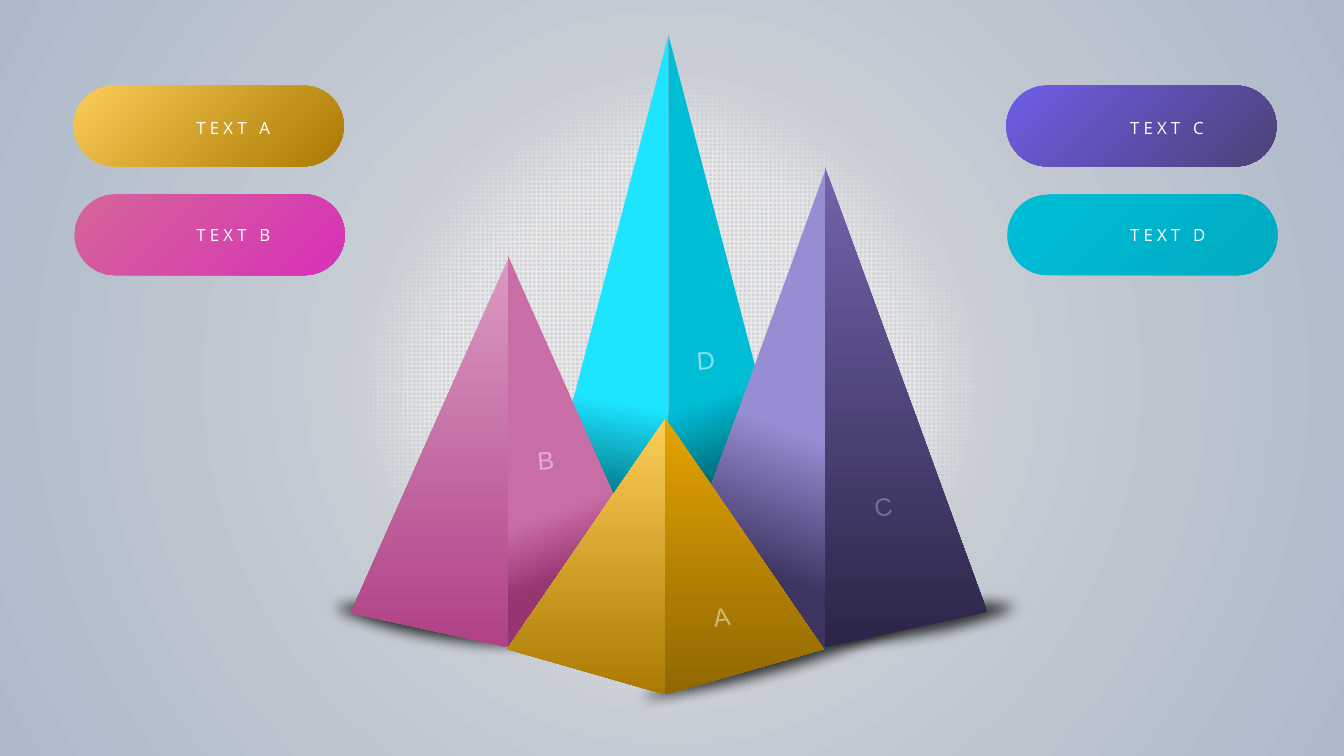
"""Build a slide of four lettered pyramids with gradient label pills."""
from lxml.etree import SubElement
from pptx import Presentation
from pptx.dml.color import RGBColor
from pptx.enum.dml import MSO_PATTERN
from pptx.enum.shapes import MSO_SHAPE
from pptx.enum.text import MSO_AUTO_SIZE
from pptx.oxml.ns import qn
from pptx.util import Pt

PX = 9144
COLORS = {
    "white": "FFFFFF", "black": "000000",
    "backdrop_center": "DBDBDB", "backdrop_edge": "ADB9CA",
    "grid": "EDEDED", "grid_ground": "D0D3D7",
    "cyan_light": "1DE4FF", "cyan_shade": "007A8A",
    "cyan": "00BDD6", "cyan_dark": "005C68", "cyan_end": "00ABC1",
    "violet_light": "978DD3", "violet_shade": "3E3462",
    "violet": "7363AD", "violet_dark": "2C2547",
    "violet_start": "6E5EE8", "violet_end": "4C4175",
    "pink_light": "DA9AC2", "pink_deep": "B04186",
    "pink": "C96DA6", "pink_dark": "953671",
    "pink_start": "D56598", "pink_end": "D731B7",
    "gold": "E4A302", "gold_dark": "906702",
    "gold_light": "FDCE59", "gold_deep": "AA7A02",
    "gold_start": "FBCC57", "gold_end": "A97902",
}


def paint_gradient(fill, owner, stops, angle=None):
    fill.gradient()
    gradient = next(owner.iter(qn("a:gradFill")))
    for child in list(gradient):
        gradient.remove(child)
    stop_list = SubElement(gradient, qn("a:gsLst"))
    for position, color in stops:
        stop = SubElement(stop_list, qn("a:gs"), pos=str(position * 1000))
        SubElement(stop, qn("a:srgbClr"), val=COLORS[color])
    if angle is None:
        circle = SubElement(gradient, qn("a:path"), {"path": "circle"})
        SubElement(circle, qn("a:fillToRect"), dict.fromkeys("ltrb", "50000"))
    else:
        SubElement(gradient, qn("a:lin"), ang=str(angle * 60000), scaled="0")


def add_ellipse(shapes, left, top, width, height, soft_edge):
    ellipse = shapes.add_shape(MSO_SHAPE.OVAL, left * PX, top * PX, width * PX, height * PX)
    ellipse.line.fill.background()
    effects = SubElement(ellipse.element.spPr, qn("a:effectLst"))
    SubElement(effects, qn("a:softEdge"), rad=str(soft_edge * PX))
    return ellipse


prs = Presentation()
prs.slide_width, prs.slide_height = 1333 * PX, 750 * PX
slide = prs.slides.add_slide(prs.slide_layouts[6])
paint_gradient(slide.background.fill, slide.element,
               [(0, "backdrop_center"), (100, "backdrop_edge")])

halo = add_ellipse(slide.shapes, 312, 35, 709, 709, 70)
halo.fill.patterned()
halo.fill.pattern = MSO_PATTERN.SMALL_GRID
halo.fill.fore_color.rgb = RGBColor.from_string(COLORS["grid"])
halo.fill.back_color.rgb = RGBColor.from_string(COLORS["grid_ground"])

pyramids = slide.shapes.add_group_shape().shapes
for left, top, width, rotation, opacity in [
    (596, 626, 346, 344.9, 78),
    (302, 591, 254, 8.9, 80),
    (784, 589, 254, 351.8, 78),
]:
    ground_shadow = add_ellipse(pyramids, left, top, width, 56, 14)
    ground_shadow.rotation = rotation
    ground_shadow.fill.solid()
    ground_shadow.fill.fore_color.rgb = RGBColor.from_string(COLORS["black"])
    black = next(ground_shadow.element.iter(qn("a:srgbClr")))
    SubElement(black, qn("a:alpha"), val=str(opacity * 1000))

for ridge, apex, base, corner, stops, angle in [
    (663, 35, 685, (504, 643), [(55, "cyan_light"), (69, "cyan_shade")], 100),
    (663, 35, 685, (822, 643), [(53, "cyan"), (67, "cyan_dark")], 70),
    (820, 165, 642, (660, 607),
     [(0, "violet_light"), (51, "violet_light"), (80, "violet_shade")], 110),
    (818, 165, 642, (979, 607), [(0, "violet"), (100, "violet_dark")], 90),
    (504, 257, 642, (348, 608), [(0, "pink_light"), (100, "pink_deep")], 90),
    (504, 254, 640, (660, 606), [(38, "pink"), (61, "pink"), (77, "pink_dark")], 70),
    (660, 415, 689, (817, 644), [(0, "gold"), (100, "gold_dark")], 90),
    (660, 415, 689, (503, 644), [(0, "gold_light"), (100, "gold_deep")], 90),
]:
    outline = pyramids.build_freeform(ridge, base, scale=PX)
    outline.add_line_segments([(ridge, apex), corner], close=True)
    face = outline.convert_to_shape()
    face.shadow.inherit = False
    face.line.fill.background()
    paint_gradient(face.fill, face.element, stops, angle)

for left, top, stops in [
    (73, 85, [(0, "gold_start"), (100, "gold_end")]),
    (74, 193, [(0, "pink_start"), (100, "pink_end")]),
    (998, 85, [(0, "violet_start"), (100, "violet_end")]),
    (999, 193, [(3, "cyan"), (100, "cyan_end")]),
]:
    pill = slide.shapes.add_shape(MSO_SHAPE.ROUNDED_RECTANGLE,
                                  left * PX, top * PX, 268 * PX, 80 * PX)
    pill.adjustments[0] = 0.5
    pill.shadow.inherit = False
    pill.line.fill.background()
    paint_gradient(pill.fill, pill.element, stops, 45)

LABEL = (131, 30, 12, "Open Sans", 3, 100)
for text, left, top, rotation, (width, height, size, font, spacing, opacity) in [
    ("TEXT A", 185, 112, 0, LABEL),
    ("TEXT B", 185, 218, 0, LABEL),
    ("TEXT D", 1111, 218, 0, LABEL),
    ("TEXT C", 1111, 112, 0, LABEL),
    ("A", 697, 588, 351.7, (91, 40, 18, "Arial", 0, 48)),
    ("C", 857, 479, 352.1, (91, 40, 18, "Arial", 0, 28)),
    ("D", 681, 335, 355.6, (91, 40, 18, "Arial", 0, 52)),
    ("B", 523, 434, 355.6, (91, 40, 18, "Arial", 0, 44)),
]:
    caption = slide.shapes.add_textbox(left * PX, top * PX, width * PX, height * PX)
    caption.rotation = rotation
    caption.text_frame.word_wrap = True
    caption.text_frame.auto_size = MSO_AUTO_SIZE.SHAPE_TO_FIT_TEXT
    paragraph = caption.text_frame.paragraphs[0]
    paragraph.text = text
    paragraph.font.size = Pt(size)
    paragraph.font.name = font
    paragraph.font.color.rgb = RGBColor.from_string(COLORS["white"])
    next(caption.element.iter(qn("a:defRPr"))).set("spc", str(spacing * 100))
    if opacity < 100:
        white = next(caption.element.iter(qn("a:srgbClr")))
        SubElement(white, qn("a:alpha"), val=str(opacity * 1000))

prs.save("out.pptx")
